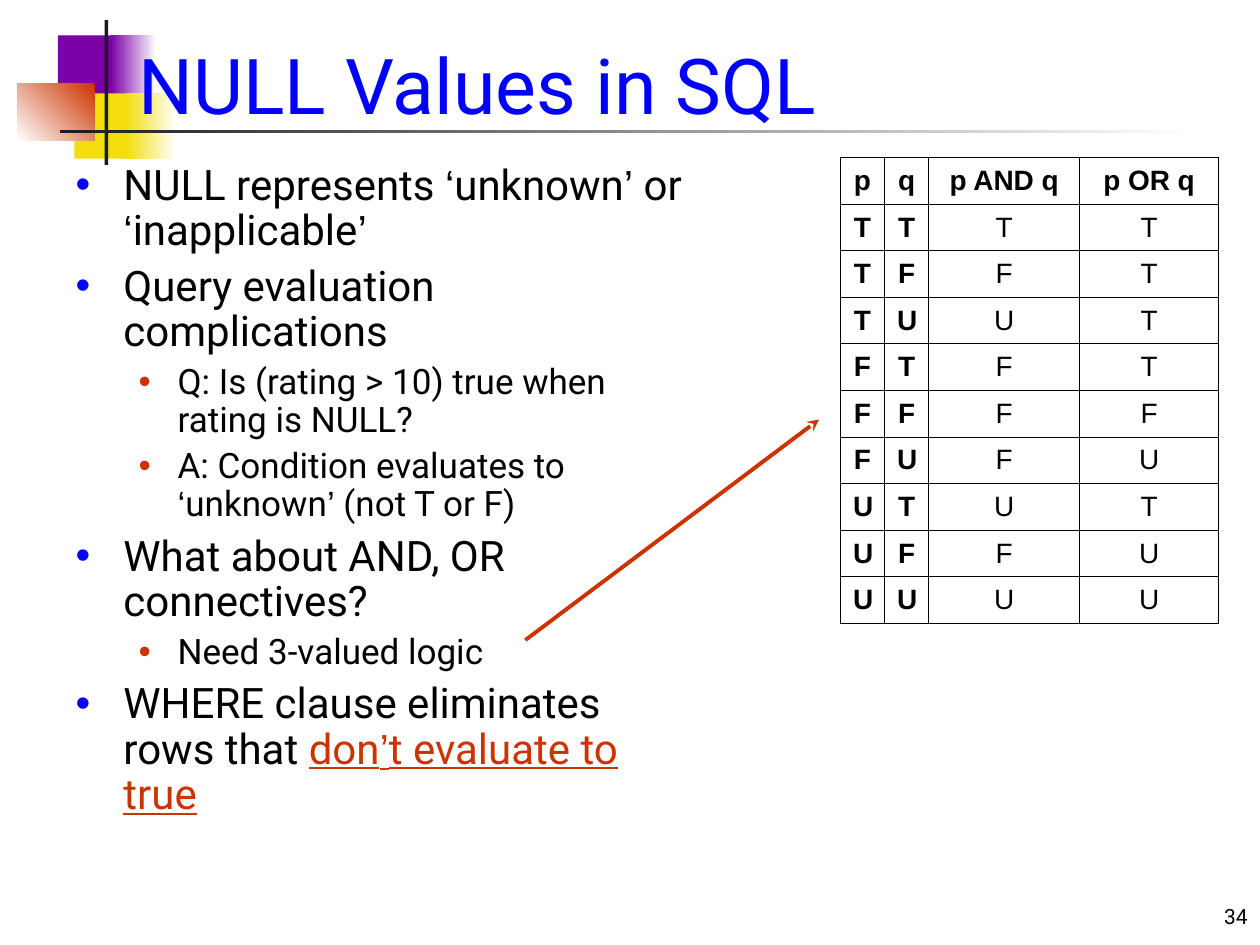
from itertools import groupby

from lxml.etree import SubElement
from pptx import Presentation
from pptx.dml.color import RGBColor
from pptx.enum.shapes import MSO_CONNECTOR, MSO_SHAPE
from pptx.enum.text import MSO_ANCHOR, MSO_AUTO_SIZE, PP_ALIGN
from pptx.oxml.ns import qn
from pptx.util import Inches, Pt

BLACK, WHITE, BLUE, RED = "000000", "FFFFFF", "0000FF", "CC3300"
PURPLE, YELLOW, CHARCOAL = "7B00A6", "F3DD0D", "1C1C1C"

TITLE = "NULL Values in SQL"
PAGE = "34"
POINTS = [
    (0, "NULL represents ‘unknown’ or ‘inapplicable’", ""),
    (0, "Query evaluation complications", ""),
    (1, "Q: Is (rating > 10) true when rating is NULL?", ""),
    (1, "A: Condition evaluates to ‘unknown’ (not T or F)", ""),
    (0, "What about AND, OR connectives?", ""),
    (1, "Need 3-valued logic", ""),
    (0, "WHERE clause eliminates rows that ", "don’t evaluate to true"),
]
LEVELS = [
    {"size": 24, "left": 0.38, "hang": 0.38, "before": 6, "bullet": BLUE},
    {"size": 20, "left": 0.81, "hang": 0.31, "before": 5, "bullet": RED},
]
TRUTH = [("p", "q", "p AND q", "p OR q")] + [
    tuple(row) for row in
    ("TTTT", "TFFT", "TUUT", "FTFT", "FFFF", "FUFU", "UTUT", "UFFU", "UUUU")
]
COLUMNS = [0.35, 0.35, 1.2, 1.1]
ROW_HEIGHT = 0.37
ORNAMENTS = [
    ((0.46, 0.28, 0.48, 0.52), [PURPLE], 0),
    ((0.88, 0.28, 0.36, 0.52), [WHITE, PURPLE], 180),
    ((0.59, 0.74, 0.46, 0.52), [YELLOW], 0),
    ((1, 0.74, 0.4, 0.52), [WHITE, YELLOW], 180),
    ((0.14, 0.66, 0.61, 0.46), [RED, WHITE], 225),
    ((0.83, 0.16, 0.03, 1.15), [CHARCOAL], 0),
    ((0.48, 1.03, 9, 0.03), [WHITE, CHARCOAL], 180),
]


def rgb(value):
    return RGBColor.from_string(value)


def style(font, size, color, name="Roboto", bold=False):
    font.size, font.name, font.bold = Pt(size), name, bold
    font.color.rgb = rgb(color)


def place(shape, left, top, width, height):
    shape.left, shape.top = Inches(left), Inches(top)
    shape.width, shape.height = Inches(width), Inches(height)


def add_ornament(slide, box, colors, angle):
    ornament = slide.shapes.add_shape(MSO_SHAPE.RECTANGLE, *map(Inches, box))
    ornament.shadow.inherit = False
    ornament.line.fill.background()
    if len(colors) == 1:
        ornament.fill.solid()
        ornament.fill.fore_color.rgb = rgb(colors[0])
        return
    ornament.fill.gradient()
    ornament.fill.gradient_angle = angle
    for stop, color in zip(ornament.fill.gradient_stops, colors):
        stop.color.rgb = rgb(color)


def add_words(paragraph, words, size, color, underline=None):
    for is_quote, letters in groupby(words, lambda letter: letter in "‘’"):
        run = paragraph.add_run()
        run.text = "".join(letters)
        style(run.font, size, color, "Arial" if is_quote else "Roboto")
        run.font.underline = underline


def set_bullet(paragraph, left, hang, color):
    props = paragraph._p.get_or_add_pPr()
    props.set("marL", str(Inches(left)))
    props.set("indent", str(-Inches(hang)))
    SubElement(SubElement(props, qn("a:buClr")), qn("a:srgbClr"), val=color)
    SubElement(props, qn("a:buFont"), typeface="Arial")
    SubElement(props, qn("a:buChar"), char="•")


def fill_points(frame):
    frame.word_wrap = True
    frame.auto_size = MSO_AUTO_SIZE.NONE
    for index, (depth, words, stressed) in enumerate(POINTS):
        level = LEVELS[depth]
        point = frame.add_paragraph() if index else frame.paragraphs[0]
        point.level = depth
        point.line_spacing = 0.9
        point.space_before = Pt(level["before"] if index else 0)
        set_bullet(point, level["left"], level["hang"], level["bullet"])
        add_words(point, words, level["size"], BLACK)
        add_words(point, stressed, level["size"], RED, True)


def set_borders(cell):
    props = cell._tc.get_or_add_tcPr()
    for position, side in enumerate(("a:lnL", "a:lnR", "a:lnT", "a:lnB")):
        border = props.makeelement(qn(side), {"w": str(Pt(0.45))})
        fill = SubElement(border, qn("a:solidFill"))
        SubElement(fill, qn("a:srgbClr"), val=BLACK)
        props.insert(position, border)


def add_truth_table(slide):
    table = slide.shapes.add_table(
        len(TRUTH), len(COLUMNS), Inches(6.67), Inches(1.25),
        Inches(sum(COLUMNS)), Inches(ROW_HEIGHT * len(TRUTH))).table
    for column, width in zip(table.columns, COLUMNS):
        column.width = Inches(width)
    for r, values in enumerate(TRUTH):
        table.rows[r].height = Inches(ROW_HEIGHT)
        for c, value in enumerate(values):
            cell = table.cell(r, c)
            cell.text_frame.text = value
            cell.vertical_anchor = MSO_ANCHOR.MIDDLE
            cell.fill.background()
            set_borders(cell)
            paragraph = cell.text_frame.paragraphs[0]
            paragraph.alignment = PP_ALIGN.CENTER
            style(paragraph.runs[0].font, 16, BLACK, "Arial", r == 0 or c < 2)


def add_arrow(slide):
    arrow = slide.shapes.add_connector(
        MSO_CONNECTOR.STRAIGHT, *map(Inches, (4.17, 5.08, 6.5, 3.33)))
    arrow.line.color.rgb = rgb(RED)
    arrow.line.width = Pt(2.25)
    SubElement(arrow.line._get_or_add_ln(), qn("a:tailEnd"), type="stealth")
    SubElement(arrow._element.spPr, qn("a:effectLst"))


def add_page_number(slide):
    page = slide.shapes.add_textbox(*map(Inches, (7.92, 6.92, 2.08, 0.5)))
    frame = page.text_frame
    frame.word_wrap = True
    frame.vertical_anchor = MSO_ANCHOR.BOTTOM
    frame.text = PAGE
    frame.paragraphs[0].alignment = PP_ALIGN.RIGHT
    style(frame.paragraphs[0].runs[0].font, 12, BLACK)


def main():
    deck = Presentation()
    deck.slide_width, deck.slide_height = Inches(10), Inches(7.5)
    slide = deck.slides.add_slide(deck.slide_layouts[1])
    title, body = slide.placeholders

    for ornament in ORNAMENTS:
        add_ornament(slide, *ornament)
    add_page_number(slide)
    for holder in (title, body):
        slide.shapes._spTree.append(holder._element)

    place(title, 1, -0.17, 8.83, 1.25)
    heading = title.text_frame
    heading.text = TITLE
    heading.vertical_anchor = MSO_ANCHOR.BOTTOM
    heading.auto_size = MSO_AUTO_SIZE.NONE
    heading.paragraphs[0].alignment = PP_ALIGN.LEFT
    style(heading.paragraphs[0].runs[0].font, 44, BLUE)

    place(body, 0.5, 1.25, 5.08, 5.42)
    fill_points(body.text_frame)
    add_truth_table(slide)
    add_arrow(slide)
    deck.save("out.pptx")


if __name__ == "__main__":
    main()
